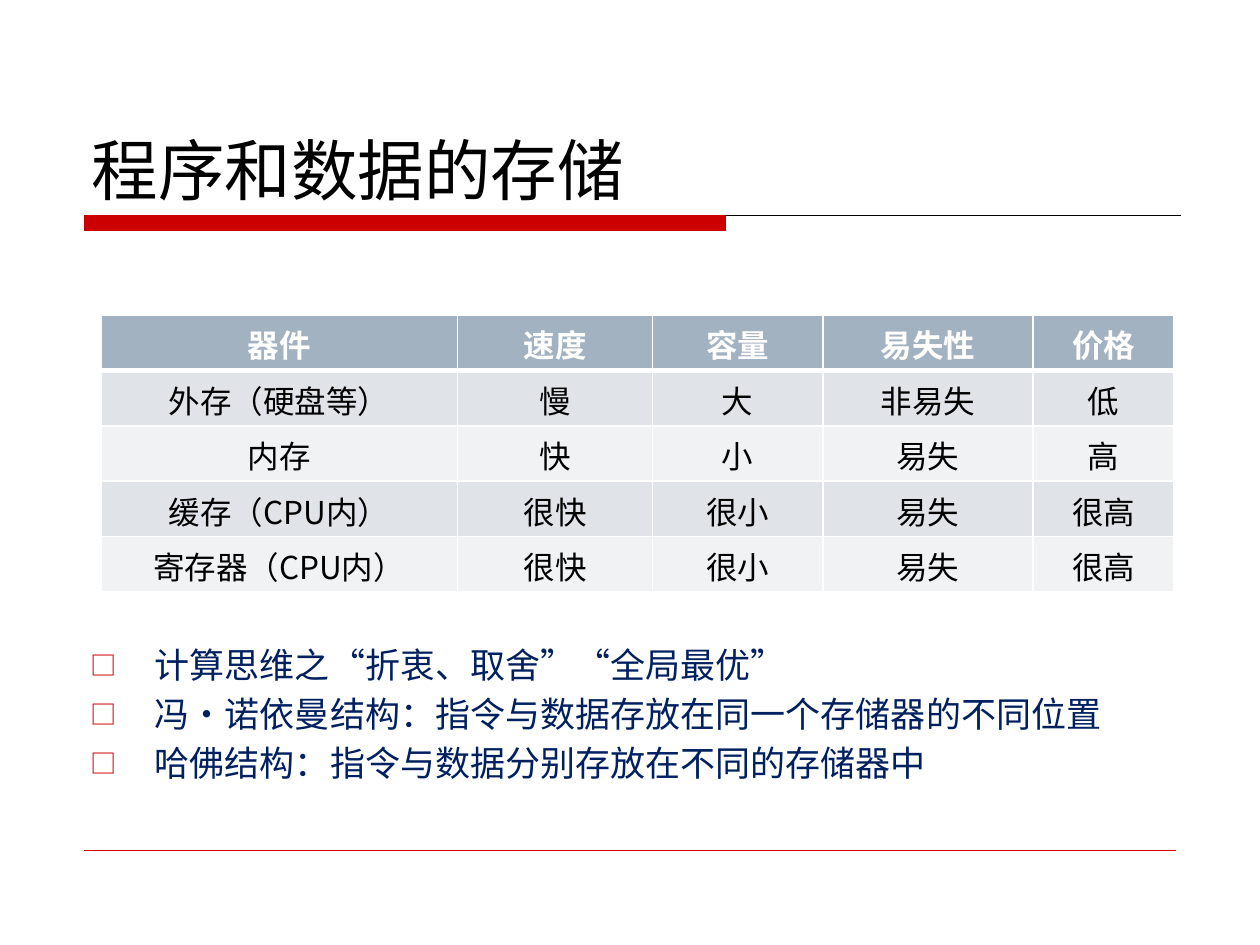
from lxml import etree
from pptx import Presentation
from pptx.dml.color import RGBColor
from pptx.enum import shapes, text
from pptx.oxml import ns
from pptx.util import Inches, Pt

THEME = {
    "font": "Noto Sans CJK SC",
    "title": "000000", "accent": "CC0000", "rule": "000000",
    "bullet_text": "002060", "header_text": "FFFFFF", "cell_text": "000000",
    "header_fill": "A3B2C1", "bands": ("E0E4E9", "F0F2F4"), "border": "FFFFFF",
    "title_size": 38, "bullet_size": 20, "cell_size": 18,
}

TITLE = "程序和数据的存储"
STORAGE = [
    ("器件", "速度", "容量", "易失性", "价格"),
    ("外存（硬盘等）", "慢", "大", "非易失", "低"),
    ("内存", "快", "小", "易失", "高"),
    ("缓存（CPU内）", "很快", "很小", "易失", "很高"),
    ("寄存器（CPU内）", "很快", "很小", "易失", "很高"),
]
COLUMN_WIDTHS = (2.83, 1.55, 1.35, 1.67, 1.12)
ROW_HEIGHT = 0.44
BULLETS = [
    "计算思维之“折衷、取舍”“全局最优”",
    "冯·诺依曼结构：指令与数据存放在同一个存储器的不同位置",
    "哈佛结构：指令与数据分别存放在不同的存储器中",
]


def color(name):
    return RGBColor.from_string(name)


def child(parent, tag, **attributes):
    return etree.SubElement(parent, ns.qn(tag), attributes)


def add_span(para, words, size, ink, bold=False):
    span = para.add_run()
    span.text = words
    span.font.size = Pt(size)
    span.font.bold = bold
    span.font.color.rgb = color(ink)
    span.font.name = THEME["font"]
    child(span.font._element, "a:ea", typeface=THEME["font"])


def add_box(page, left, top, width, height):
    box = page.shapes.add_textbox(*map(Inches, (left, top, width, height)))
    box.text_frame.word_wrap = True
    box.text_frame.margin_top = box.text_frame.margin_bottom = 0
    return box.text_frame


def add_rule(page, start, end, y, ink, width):
    rule = page.shapes.add_connector(
        shapes.MSO_CONNECTOR.STRAIGHT, Inches(start), Inches(y), Inches(end), Inches(y))
    rule.line.color.rgb = color(ink)
    rule.line.width = Pt(width)
    child(rule._element.spPr, "a:effectLst")


def add_title(page):
    frame = add_box(page, 0.63, 0.33, 8.75, 1.33)
    frame.vertical_anchor = text.MSO_ANCHOR.BOTTOM
    add_span(frame.paragraphs[0], TITLE, THEME["title_size"], THEME["title"])


def add_title_bar(page):
    add_rule(page, 0.67, 9.37, 1.71, THEME["rule"], 0.75)
    bar = page.shapes.add_shape(
        shapes.MSO_SHAPE.RECTANGLE, *map(Inches, (0.67, 1.71, 5.09, 0.12)))
    bar.shadow.inherit = False
    bar.fill.solid()
    bar.fill.fore_color.rgb = color(THEME["accent"])
    bar.line.color.rgb = color(THEME["accent"])
    bar.line.width = Pt(0.75)


def set_borders(cell, widths):
    """Put borders, in points by side, ahead of the cell's fill."""
    properties = cell._tc.get_or_add_tcPr()
    for place, (side, width) in enumerate(widths.items()):
        edge = etree.Element(ns.qn(f"a:ln{side}"), w=str(Pt(width)))
        child(child(edge, "a:solidFill"), "a:srgbClr", val=THEME["border"])
        properties.insert(place, edge)


def add_storage_table(page):
    table = page.shapes.add_table(
        len(STORAGE), len(COLUMN_WIDTHS), Inches(0.8), Inches(2.5),
        Inches(sum(COLUMN_WIDTHS)), Inches(ROW_HEIGHT * len(STORAGE))).table
    for column, width in zip(table.columns, COLUMN_WIDTHS):
        column.width = Inches(width)
    for r, row in enumerate(STORAGE):
        table.rows[r].height = Inches(ROW_HEIGHT)
        header = r == 0
        fill = THEME["header_fill"] if header else THEME["bands"][(r - 1) % 2]
        ink = THEME["header_text" if header else "cell_text"]
        borders = {"L": 1, "R": 1, "T": 3 if r == 1 else 1, "B": 3 if header else 1}
        for c, words in enumerate(row):
            cell = table.cell(r, c)
            cell.fill.solid()
            cell.fill.fore_color.rgb = color(fill)
            set_borders(cell, borders)
            para = cell.text_frame.paragraphs[0]
            para.alignment = text.PP_ALIGN.CENTER
            add_span(para, words, THEME["cell_size"], ink, header)


def add_bullets(page):
    frame = add_box(page, 0.62, 5.05, 8.75, 1.2)
    for i, words in enumerate(BULLETS):
        para = frame.add_paragraph() if i else frame.paragraphs[0]
        para.line_spacing = Pt(28)
        properties = para._p.get_or_add_pPr()
        properties.set("marL", str(Inches(0.51)))
        properties.set("indent", str(-Inches(0.51)))
        child(child(properties, "a:buClr"), "a:srgbClr", val=THEME["accent"])
        child(properties, "a:buSzPct", val="75000")
        child(properties, "a:buFont", typeface=THEME["font"])
        child(properties, "a:buChar", char="□")
        add_span(para, words, THEME["bullet_size"], THEME["bullet_text"])


def main():
    deck = Presentation()
    deck.slide_width, deck.slide_height = Inches(10), Inches(7.5)
    page = deck.slides.add_slide(deck.slide_layouts[6])
    add_title_bar(page)
    add_rule(page, 0.67, 9.33, 6.75, THEME["accent"], 0.25)
    add_title(page)
    add_bullets(page)
    add_storage_table(page)
    deck.save("out.pptx")


if __name__ == "__main__":
    main()
